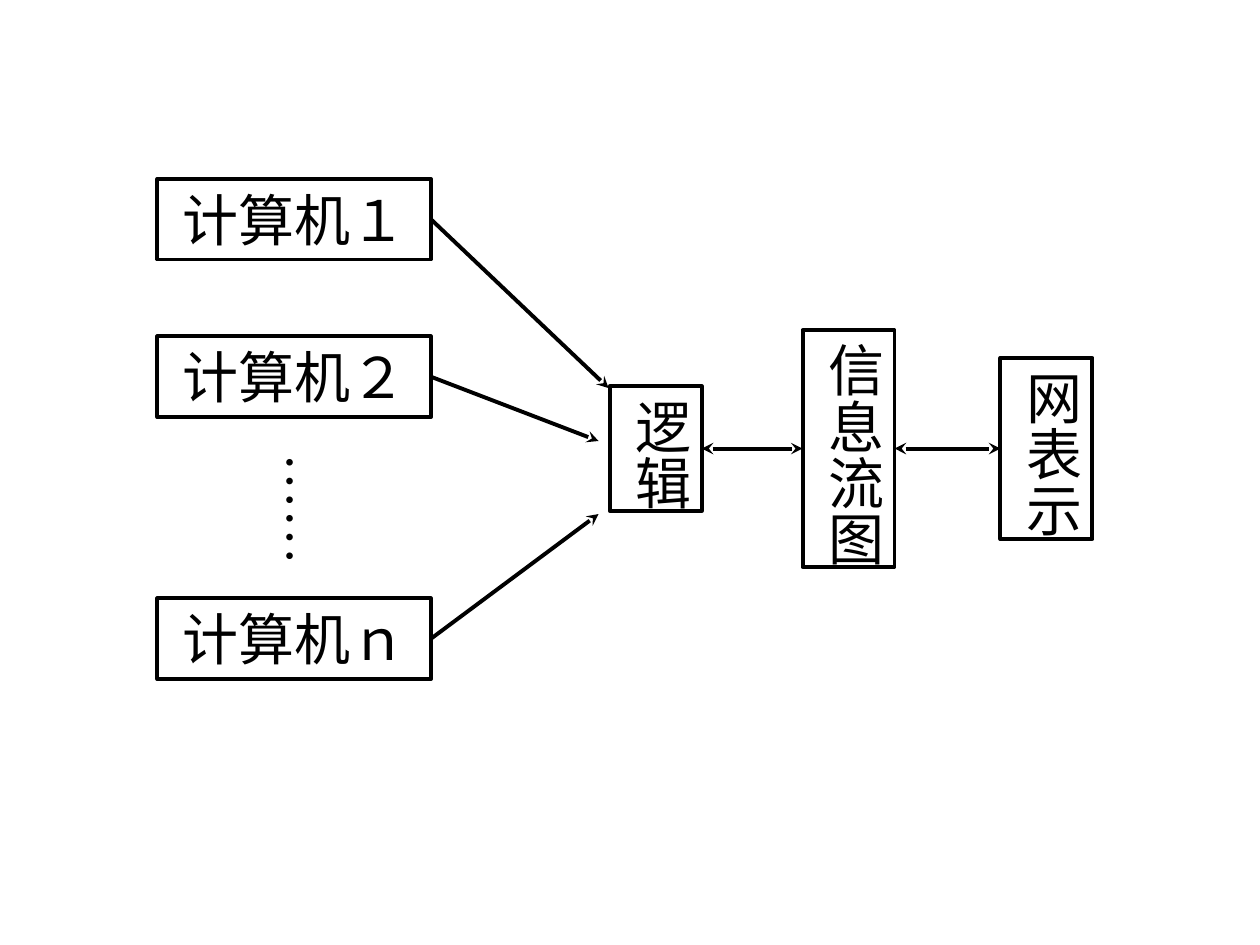
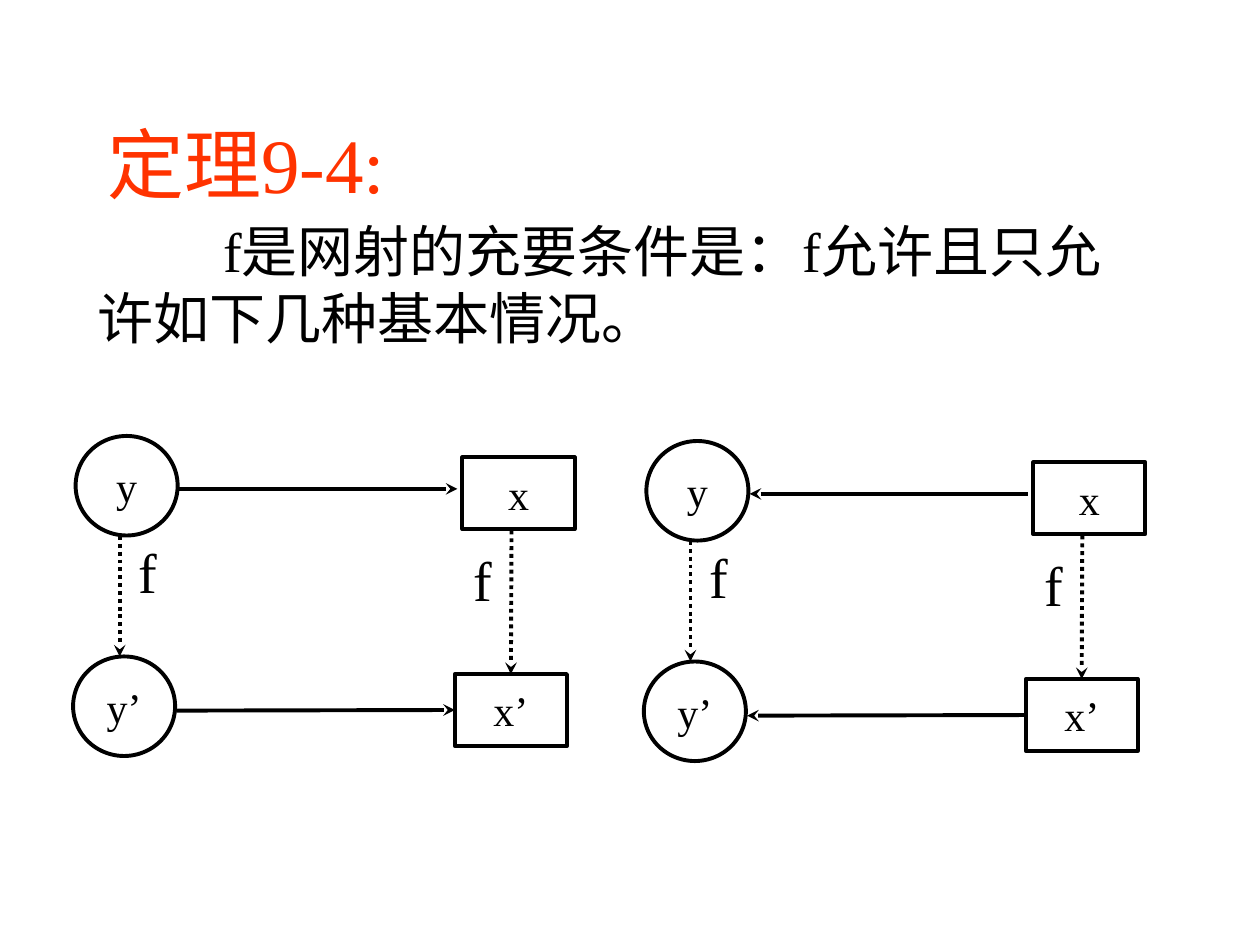
from lxml.etree import SubElement
from pptx import Presentation
from pptx.dml.color import RGBColor
from pptx.enum.dml import MSO_LINE
from pptx.enum.shapes import MSO_CONNECTOR, MSO_SHAPE
from pptx.enum.text import MSO_ANCHOR, MSO_AUTO_SIZE as FIT, PP_ALIGN
from pptx.oxml.ns import qn
from pptx.util import Inches, Pt

BLACK, WHITE, RED = "000000", "FFFFFF", "FF3300"
FONT = "Times New Roman"
LINE_WIDTH = 2.25
TOP, LEFT, BOTTOM, RIGHT = range(4)

COMPUTER_LEFT, COMPUTER_WIDTH, COMPUTER_HEIGHT = 1.25, 2.17, 0.64
COMPUTERS = [
    ("计算机１", 1.42, (4.83, 3.08)),
    ("计算机２", 2.67, (4.75, 3.5)),
    ("计算机ｎ", 4.75, (4.75, 4.08)),
]
STAGE_AXIS, STAGE_WIDTH = 3.56, 0.73
STAGES = [("逻辑", 4.84, 0.99), ("信息流图", 6.37, 1.88), ("网表示", 7.94, 1.44)]
PLACE_SIZE, TRANSITION_SIZE = (0.81, 0.79), (0.89, 0.57)


def color(hex_value):
    return RGBColor.from_string(hex_value)


def apply(target, formats):
    for attribute, value in formats.items():
        setattr(target, attribute, value)


def place(shape, left, top, width, height):
    apply(shape, {
        "left": Inches(left), "top": Inches(top),
        "width": Inches(width), "height": Inches(height),
    })


def write(shape, text, size, ink=BLACK, align=PP_ALIGN.CENTER,
          anchor=MSO_ANCHOR.TOP, wrap=False, fit=FIT.NONE, vertical=False):
    frame = shape.text_frame
    side, edge = (0.05, 0.1) if vertical else (0.1, 0.05)
    apply(frame, {
        "text": text, "word_wrap": wrap, "auto_size": fit,
        "vertical_anchor": anchor,
        "margin_left": Inches(side), "margin_right": Inches(side),
        "margin_top": Inches(edge), "margin_bottom": Inches(edge),
    })
    if vertical:
        frame._txBody.bodyPr.set("vert", "eaVert")
    paragraph = frame.paragraphs[0]
    paragraph.alignment = align
    font = paragraph.runs[0].font
    apply(font, {"name": FONT, "size": Pt(size), "bold": False})
    font.color.rgb = color(ink)
    return paragraph


def add_node(slide, kind, text, box, size, fill=None, **text_format):
    node = slide.shapes.add_shape(kind, *map(Inches, box))
    node.shadow.inherit = False
    if fill:
        node.fill.solid()
        node.fill.fore_color.rgb = color(fill)
    else:
        node.fill.background()
    node.line.color.rgb = color(BLACK)
    node.line.width = Pt(LINE_WIDTH)
    write(node, text, size, **text_format)
    return node


def add_label(slide, text, box, **text_format):
    label = slide.shapes.add_textbox(*map(Inches, box))
    write(label, text, 32, fit=FIT.SHAPE_TO_FIT_TEXT, **text_format)


def add_arrow(slide, start, end, source=None, target=None,
              heads=("tailEnd",), dotted=False):
    arrow = slide.shapes.add_connector(
        MSO_CONNECTOR.STRAIGHT, *map(Inches, (*start, *end)))
    if source:
        arrow.begin_connect(*source)
    if target:
        arrow.end_connect(*target)
    arrow.line.color.rgb = color(BLACK)
    arrow.line.width = Pt(LINE_WIDTH)
    if dotted:
        arrow.line.dash_style = MSO_LINE.ROUND_DOT
    outline = arrow.line._get_or_add_ln()
    for head in heads:
        SubElement(outline, qn(f"a:{head}"), type="stealth")
    SubElement(arrow._element.spPr, qn("a:effectLst"))


def build_architecture(slide):
    stages = []
    for name, left, height in STAGES:
        box = (left, STAGE_AXIS - height / 2, STAGE_WIDTH, height)
        stages.append(add_node(slide, MSO_SHAPE.RECTANGLE, name, box, 32,
                               fit=FIT.SHAPE_TO_FIT_TEXT, vertical=True))
    for name, top, arrow_tip in COMPUTERS:
        box = (COMPUTER_LEFT, top, COMPUTER_WIDTH, COMPUTER_HEIGHT)
        computer = add_node(slide, MSO_SHAPE.RECTANGLE, name, box, 32,
                            wrap=True, fit=FIT.SHAPE_TO_FIT_TEXT)
        add_arrow(slide, (COMPUTER_LEFT + COMPUTER_WIDTH, top), arrow_tip,
                  source=(computer, RIGHT))
    add_label(slide, "……", (2.05, 3.5, STAGE_WIDTH, 0.99), vertical=True)
    for before, after in zip(stages, stages[1:]):
        add_arrow(slide, (0, 0), (1, 1), (before, RIGHT), (after, LEFT),
                  heads=("headEnd", "tailEnd"))


def add_net_mapping(slide, dx, dy, flow_head):
    def at(x, y):
        return x + dx, y + dy

    def add_place(text, x, y):
        return add_node(slide, MSO_SHAPE.OVAL, text, (*at(x, y), *PLACE_SIZE),
                        24, WHITE, anchor=MSO_ANCHOR.MIDDLE)

    def add_transition(text, x, y):
        return add_node(slide, MSO_SHAPE.RECTANGLE, text,
                        (*at(x, y), *TRANSITION_SIZE), 24, WHITE,
                        anchor=MSO_ANCHOR.MIDDLE)

    add_arrow(slide, at(1.42, 3.88), at(3.63, 3.88), heads=(flow_head,))
    image_transition = add_transition("x’", 3.61, 5.35)
    add_place("y’", 0.58, 5.21)
    add_arrow(slide, at(1.4, 5.64), at(3.61, 5.64),
              target=(image_transition, LEFT), heads=(flow_head,))
    add_arrow(slide, at(0.95, 4.13), at(0.95, 5.21), dotted=True)
    add_arrow(slide, at(4.06, 4.21), at(4.06, 5.35),
              target=(image_transition, TOP), dotted=True)
    for x, y in ((1, 4.22), (3.66, 4.28)):
        add_label(slide, "f", (*at(x, y), 0.35, 0.64))
    add_place("y", 0.6, 3.46)
    add_transition("x", 3.67, 3.63)


def build_theorem(slide):
    title, statement = slide.placeholders
    place(title, 0.75, 0.67, 8.5, 1.25)
    write(title, "定理9-4:", 44, RED, PP_ALIGN.LEFT, MSO_ANCHOR.MIDDLE, True)
    place(statement, 0.67, 1.67, 8.5, 1.25)
    paragraph = write(
        statement, "f是网射的充要条件是：f允许且只允许如下几种基本情况。",
        32, align=PP_ALIGN.LEFT, wrap=True)
    paragraph.space_before = Pt(8)
    properties = paragraph._p.get_or_add_pPr()
    properties.set("marL", "0")
    properties.set("indent", str(Inches(1)))
    SubElement(properties, qn("a:buNone"))
    add_net_mapping(slide, 0, 0, "tailEnd")
    add_net_mapping(slide, 4.53, 0.04, "headEnd")


def main():
    deck = Presentation()
    apply(deck, {"slide_width": Inches(10), "slide_height": Inches(7.5)})
    title_and_content, blank = deck.slide_layouts[1], deck.slide_layouts[6]
    build_architecture(deck.slides.add_slide(blank))
    build_theorem(deck.slides.add_slide(title_and_content))
    deck.save("out.pptx")


if __name__ == "__main__":
    main()
